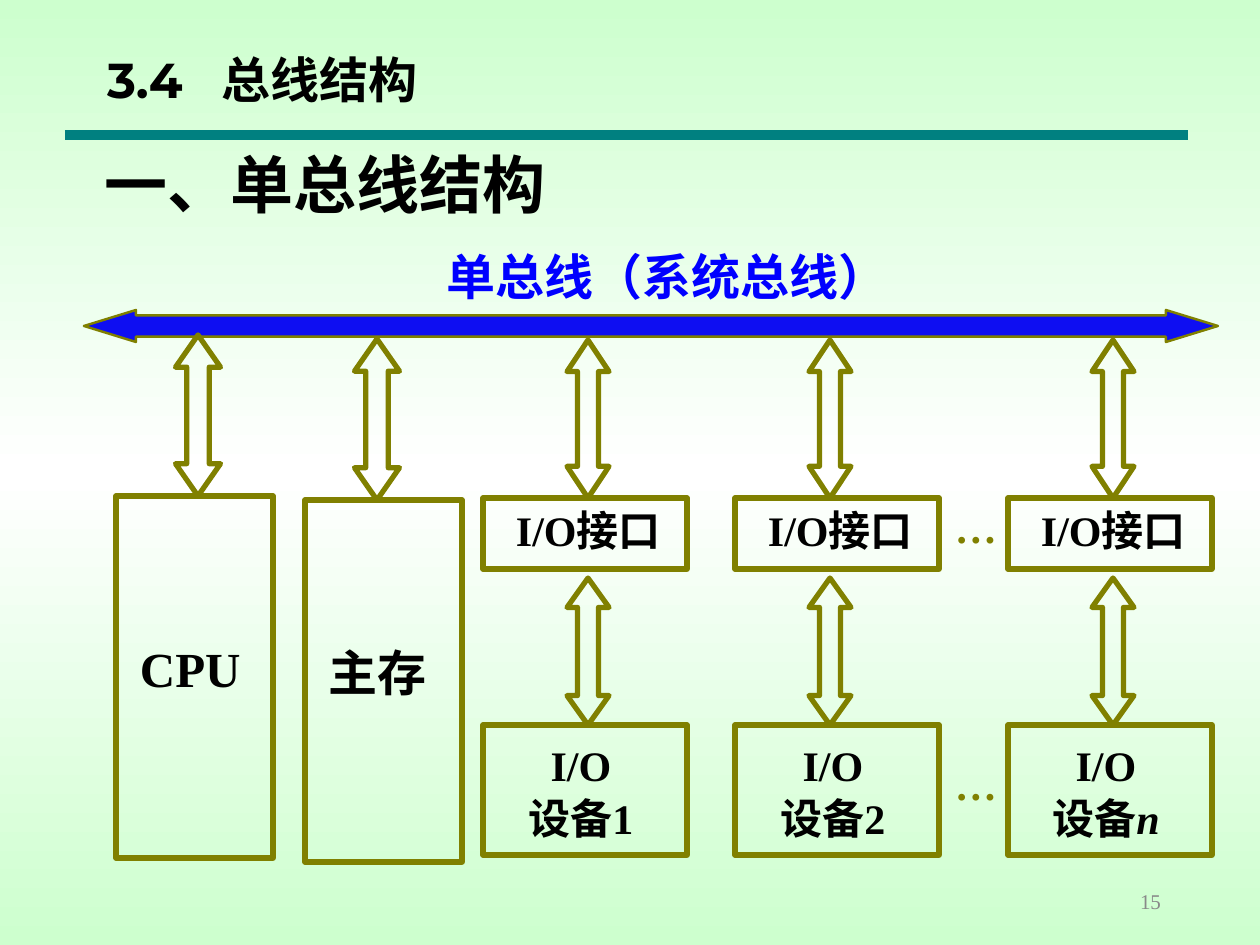
from copy import deepcopy

from pptx import Presentation
from pptx import util as u
from pptx.dml.color import RGBColor
from pptx.enum import shapes, text
from pptx.oxml.ns import qn
from lxml import etree

MINT = RGBColor(0xCD, 0xFF, 0xCE)
WHITE = RGBColor(0xFF, 0xFF, 0xFF)
BLACK = RGBColor(0, 0, 0)
TEAL = RGBColor(0, 0x80, 0x80)
OLIVE = RGBColor(0x80, 0x80, 0)
BLUE = RGBColor(0, 0, 0xFF)
BUS_BLUE = RGBColor(0x0E, 0x0E, 0xF2)
GREY = RGBColor(0x89, 0x89, 0x89)

SERIF = "Times New Roman"
SANS = "Noto Sans CJK SC"
LEFT, CENTER, RIGHT = text.PP_ALIGN.LEFT, text.PP_ALIGN.CENTER, text.PP_ALIGN.RIGHT
MIDDLE, BOTTOM = text.MSO_ANCHOR.MIDDLE, text.MSO_ANCHOR.BOTTOM


def px(n):
    return u.Emu(round(n * 914400 / 126))


def add_span(para, words, size, color=BLACK, font=SERIF, east=SANS, bold=True, italic=False):
    span = para.add_run()
    span.text = words
    span.font.size = u.Pt(size)
    span.font.name = font
    span.font.bold = bold
    span.font.italic = italic
    span.font.color.rgb = color
    etree.SubElement(span._r.get_or_add_rPr(), qn("a:ea"), typeface=east)


def set_frame(box, insets=(13, 6, 13, 6), anchor=MIDDLE, align=LEFT, wrap=True):
    frame = box.text_frame
    frame.word_wrap = wrap
    frame.auto_size = text.MSO_AUTO_SIZE.NONE
    frame.vertical_anchor = anchor
    frame.margin_left, frame.margin_top, frame.margin_right, frame.margin_bottom = map(px, insets)
    para = frame.paragraphs[0]
    para.alignment = align
    return para


def add_label(page, bounds, words, size, color=BLACK, insets=(13, 6, 13, 6),
              align=LEFT, wrap=True, **style):
    box = page.shapes.add_textbox(*map(px, bounds))
    para = set_frame(box, insets, align=align, wrap=wrap)
    add_span(para, words, size, color, **style)


def add_block(page, bounds, insets=(0, 0, 0, 0), align=LEFT):
    box = page.shapes.add_shape(shapes.MSO_SHAPE.RECTANGLE, *map(px, bounds))
    box.shadow.inherit = False
    box.fill.background()
    box.line.color.rgb = OLIVE
    box.line.width = u.Pt(3)
    return set_frame(box, insets, align=align)


def add_double_arrow(page, left, top, width, height, head, inset, fill=None, weight=3):
    upright = height > width
    length, depth = (height, width) if upright else (width, height)
    near, far = depth * inset, depth * (1 - inset)
    tail = length - head
    outline = [(0, depth / 2), (head, depth), (head, far), (tail, far), (tail, depth),
               (length, depth / 2), (tail, 0), (tail, near), (head, near), (head, 0)]
    points = [(px(left + (b if upright else a)), px(top + (a if upright else b)))
              for a, b in outline]
    builder = page.shapes.build_freeform(*points[0])
    builder.add_line_segments(points[1:], close=True)
    arrow = builder.convert_to_shape()
    arrow.shadow.inherit = False
    if fill is None:
        arrow.fill.background()
    else:
        arrow.fill.solid()
        arrow.fill.fore_color.rgb = fill
    arrow.line.color.rgb = OLIVE
    arrow.line.width = u.Pt(weight)
    etree.SubElement(arrow.line._get_or_add_ln(), qn("a:round"))


def add_link(page, centre, top, bottom, width):
    height = bottom - top
    add_double_arrow(page, centre - width / 2, top, width, height, height * 0.2, 0.25)


def paint_background(page):
    fill = page.background.fill
    fill.gradient()
    fill.gradient_angle = 270
    stop_list = page.element.find(".//" + qn("a:gsLst"))
    stop_list.insert(1, deepcopy(stop_list[0]))
    for stop, position, color in zip(fill.gradient_stops, (0, 0.5, 1), (MINT, WHITE, MINT)):
        stop.position = position
        stop.color.rgb = color


def add_header(page):
    rule = page.shapes.add_connector(shapes.MSO_CONNECTOR.STRAIGHT,
                                     px(65), px(135), px(1188), px(135))
    rule.line.color.rgb = TEAL
    rule.line.width = u.Pt(6)
    etree.SubElement(rule._element.spPr, qn("a:effectLst"))
    title = page.shapes.title
    title.left, title.top, title.width, title.height = map(px, (94, -44, 1071, 158))
    para = set_frame(title, anchor=BOTTOM)
    tabs = etree.SubElement(para._p.get_or_add_pPr(), qn("a:tabLst"))
    etree.SubElement(tabs, qn("a:tab"), pos=str(px(115)), algn="l")
    add_span(para, "3.4\t总线结构", 28, font="Montserrat")
    add_label(page, (92, 139, 633, 88), "一、单总线结构", 36)


def add_bus(page, left, top, width):
    add_label(page, (left + 363, top - 64, 441, 59), "单总线（系统总线）", 28, BLUE,
              insets=(0, 0, 0, 0), wrap=False, font=SANS)
    add_double_arrow(page, left, top, width, 32, 52, 1 / 6, BUS_BLUE, 1.39)


def add_core(page, left, top, arrow_centre, name):
    para = add_block(page, (left, top, 157, 362), insets=(24, 0, 0, 18))
    add_span(para, name, 28)
    add_link(page, arrow_centre, top - 161, top, 45)


def add_io_unit(page, left, top, arrow_centre, number, italic=False):
    para = add_block(page, (left, top, 204, 71), insets=(33, 0, 0, 8))
    add_span(para, "I/O接口", 24)
    first = add_block(page, (left, top + 227, 204, 130), insets=(0, 0, 8, 0), align=CENTER)
    add_span(first, "I/O", 24)
    second = first._parent.add_paragraph()
    second.alignment = CENTER
    add_span(second, "设备", 24)
    add_span(second, number, 24, italic=italic)
    for para in (first, second):
        para.line_spacing = u.Pt(30)
    add_link(page, arrow_centre, top - 158, top, 42)
    add_link(page, arrow_centre, top + 80, top + 227, 42)


def build_page(page):
    paint_background(page)
    add_header(page)
    add_bus(page, 84, 310, 1134)
    add_core(page, 116, 496, 198, "CPU")
    add_core(page, 305, 500, 377, "主存")
    add_io_unit(page, 483, 498, 588, "1")
    add_io_unit(page, 735, 498, 830, "2")
    add_io_unit(page, 1008, 498, 1113, "n", italic=True)
    for top in (502, 759):
        add_label(page, (955, top, 53, 50), "…", 24, OLIVE, insets=(0, 0, 0, 0), east=SERIF)
    add_label(page, (890, 876, 284, 50), "15", 12, GREY, align=RIGHT, bold=False)


def main():
    deck = Presentation()
    deck.slide_width, deck.slide_height = px(1260), px(945)
    build_page(deck.slides.add_slide(deck.slide_layouts[5]))
    deck.save("out.pptx")


if __name__ == "__main__":
    main()
